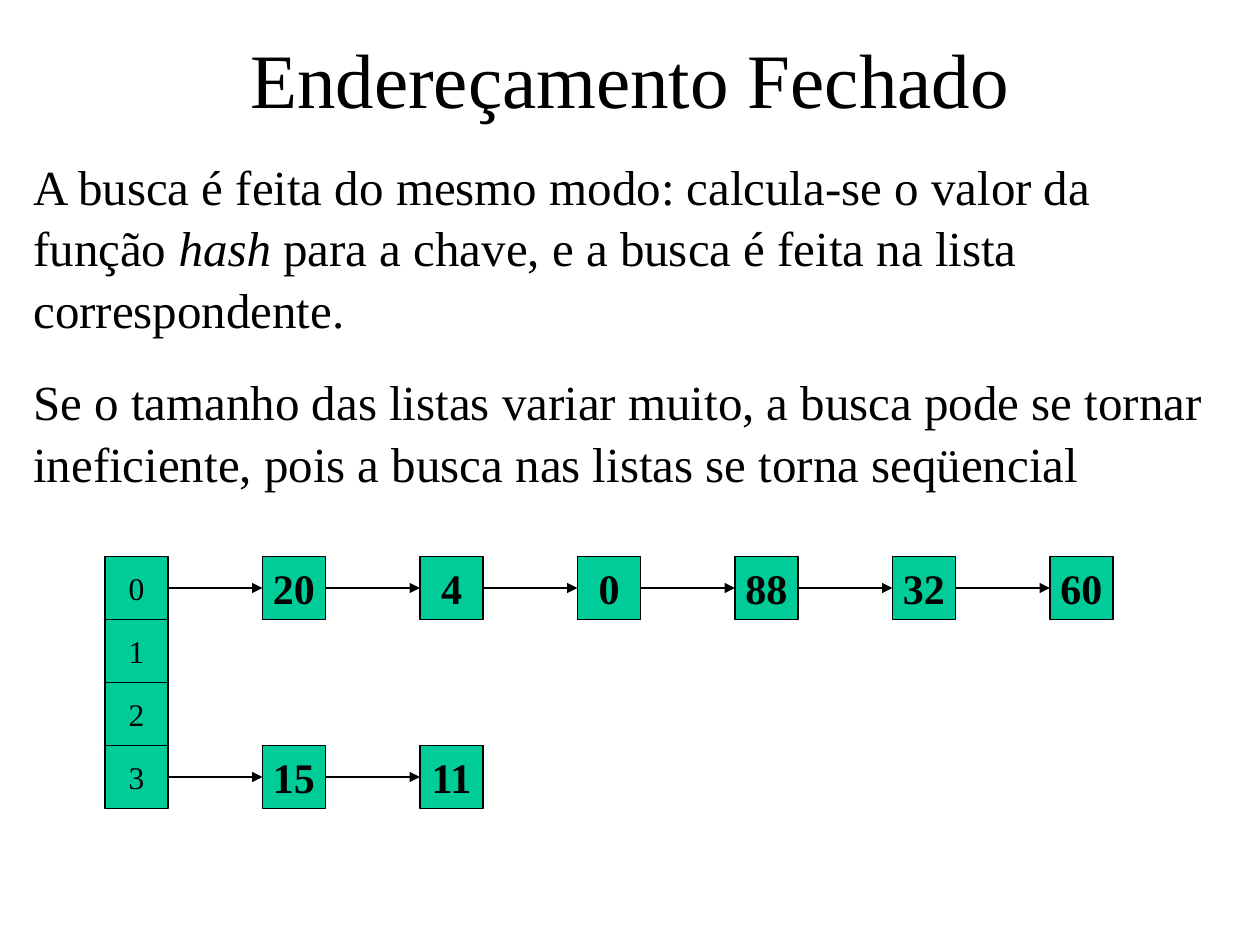
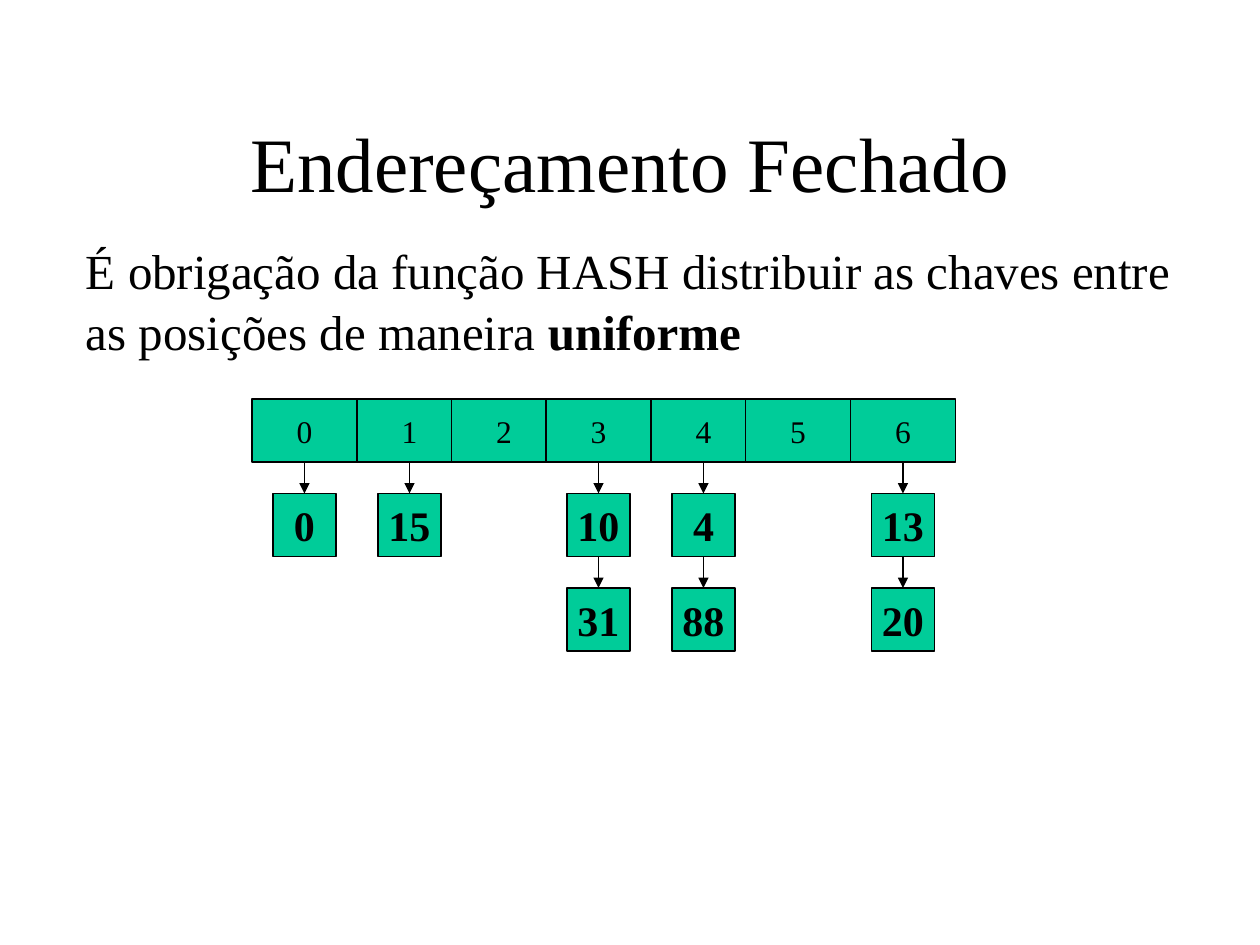
from dataclasses import dataclass

from pptx import Presentation
from pptx.dml.color import RGBColor as RGB
from pptx.enum.shapes import MSO_CONNECTOR as CONN, MSO_SHAPE as SHAPE
from pptx.enum.text import MSO_ANCHOR as ANCHOR, MSO_AUTO_SIZE as FIT, PP_ALIGN as ALIGN
from pptx.oxml.xmlchemy import OxmlElement as Element
from pptx.util import Inches, Pt


@dataclass(frozen=True)
class Theme:
    font: str = "Times New Roman"
    ink: RGB = RGB(0x00, 0x00, 0x00)
    cell: RGB = RGB(0x00, 0xCC, 0x99)
    paper: RGB = RGB(0xFF, 0xFF, 0xFF)
    title: int = 44
    body: int = 28
    key: int = 24
    index: int = 18
    line: float = 0.75
    gap: float = 17.5
    leading: float = 1.05


COLS, ROWS = 120, 90
SIDE = 6
TOP, LEFT, BOTTOM, RIGHT = range(4)


class Deck:
    def __init__(self, theme):
        self.theme = theme
        self.prs = Presentation()
        self.prs.slide_width, self.prs.slide_height = Inches(10), Inches(7.5)
        self.s = None

    def grid(self, col, row, cols, rows):
        w, h = self.prs.slide_width, self.prs.slide_height
        return (round(col * w / COLS), round(row * h / ROWS),
                round(cols * w / COLS), round(rows * h / ROWS))

    def slide(self, title, title_row):
        self.s = self.prs.slides.add_slide(self.prs.slide_layouts[6])
        fill = self.s.background.fill
        fill.solid()
        fill.fore_color.rgb = self.theme.paper
        tf = self.s.shapes.add_textbox(*self.grid(9, title_row, 102, 14.9)).text_frame
        tf.word_wrap = True
        tf.vertical_anchor = ANCHOR.MIDDLE
        p = tf.paragraphs[0]
        p.alignment = ALIGN.CENTER
        self.run(p, title, self.theme.title)

    def run(self, p, text, size, bold=False, italic=False):
        r = p.add_run()
        r.text = text
        f = r.font
        f.name, f.size, f.bold, f.italic = self.theme.font, Pt(size), bold, italic
        f.color.rgb = self.theme.ink

    def body(self, box, paragraphs):
        tf = self.s.shapes.add_textbox(*self.grid(*box)).text_frame
        tf.word_wrap = True
        tf.auto_size = FIT.SHAPE_TO_FIT_TEXT
        for i, runs in enumerate(paragraphs):
            p = tf.add_paragraph() if i else tf.paragraphs[0]
            p.line_spacing = self.theme.leading
            if i:
                p.space_before = Pt(self.theme.gap)
            for text, style in runs:
                self.run(p, text, self.theme.body, **style)

    def cell(self, text, col, row, cols=SIDE, size=None, bold=False):
        sp = self.s.shapes.add_shape(SHAPE.RECTANGLE, *self.grid(col, row, cols, SIDE))
        sp.shadow.inherit = False
        sp.fill.solid()
        sp.fill.fore_color.rgb = self.theme.cell
        sp.line.color.rgb = self.theme.ink
        sp.line.width = Pt(self.theme.line)
        tf = sp.text_frame
        tf.word_wrap = False
        tf.vertical_anchor = ANCHOR.MIDDLE
        p = tf.paragraphs[0]
        p.alignment = ALIGN.CENTER
        self.run(p, text, size or self.theme.index, bold)
        return sp

    def arrow(self, start, start_side, end, end_side):
        c = self.s.shapes.add_connector(CONN.STRAIGHT, 0, 0, 0, 0)
        c.begin_connect(start, start_side)
        c.end_connect(end, end_side)
        c.line.color.rgb = self.theme.ink
        c.line.width = Pt(self.theme.line)
        head = Element("a:tailEnd")
        head.set("type", "triangle")
        c.line._get_or_add_ln().append(head)
        c._element.spPr.append(Element("a:effectLst"))

    def chain(self, slot, keys, col, row, step_col=0, step_row=0):
        sides = (RIGHT, LEFT) if step_col else (BOTTOM, TOP)
        last = slot
        for i, key in enumerate(keys):
            node = self.cell(key, col + i * step_col, row + i * step_row,
                             size=self.theme.key, bold=True)
            self.arrow(last, sides[0], node, sides[1])
            last = node


TITLE = "Endereçamento Fechado"


def search_slide(deck):
    deck.slide(TITLE, 0)
    deck.body((2, 14, 116, 32.2), [
        [("A busca é feita do mesmo modo: calcula-se o valor da função ", {}),
         ("hash", {"italic": True}),
         (" para a chave, e a busca é feita na lista correspondente.", {})],
        [("Se o tamanho das listas variar muito, a busca pode se tornar "
          "ineficiente, pois a busca nas listas se torna seqüencial", {})],
    ])
    lists = [["20", "4", "0", "88", "32", "60"], [], [], ["15", "11"]]
    for i, keys in enumerate(lists):
        row = 53 + i * SIDE
        slot = deck.cell(str(i), 10, row)
        deck.chain(slot, keys, 25, row, step_col=15)


def uniform_slide(deck):
    deck.slide(TITLE, 8)
    deck.body((7, 22, 106, 12.5), [
        [("É obrigação da função HASH distribuir as chaves entre "
          "as posições de maneira ", {}),
         ("uniforme", {"bold": True})],
    ])
    cols = [24, 34, 43, 52, 62, 71, 81]
    lists = [["0"], ["15"], [], ["10", "31"], ["4", "88"], [], ["13", "20"]]
    for i, (col, keys) in enumerate(zip(cols, lists)):
        slot = deck.cell(str(i), col, 38, cols=10)
        deck.chain(slot, keys, col + 2, 47, step_row=9)


def main():
    deck = Deck(Theme())
    search_slide(deck)
    uniform_slide(deck)
    deck.prs.save("out.pptx")


if __name__ == "__main__":
    main()
